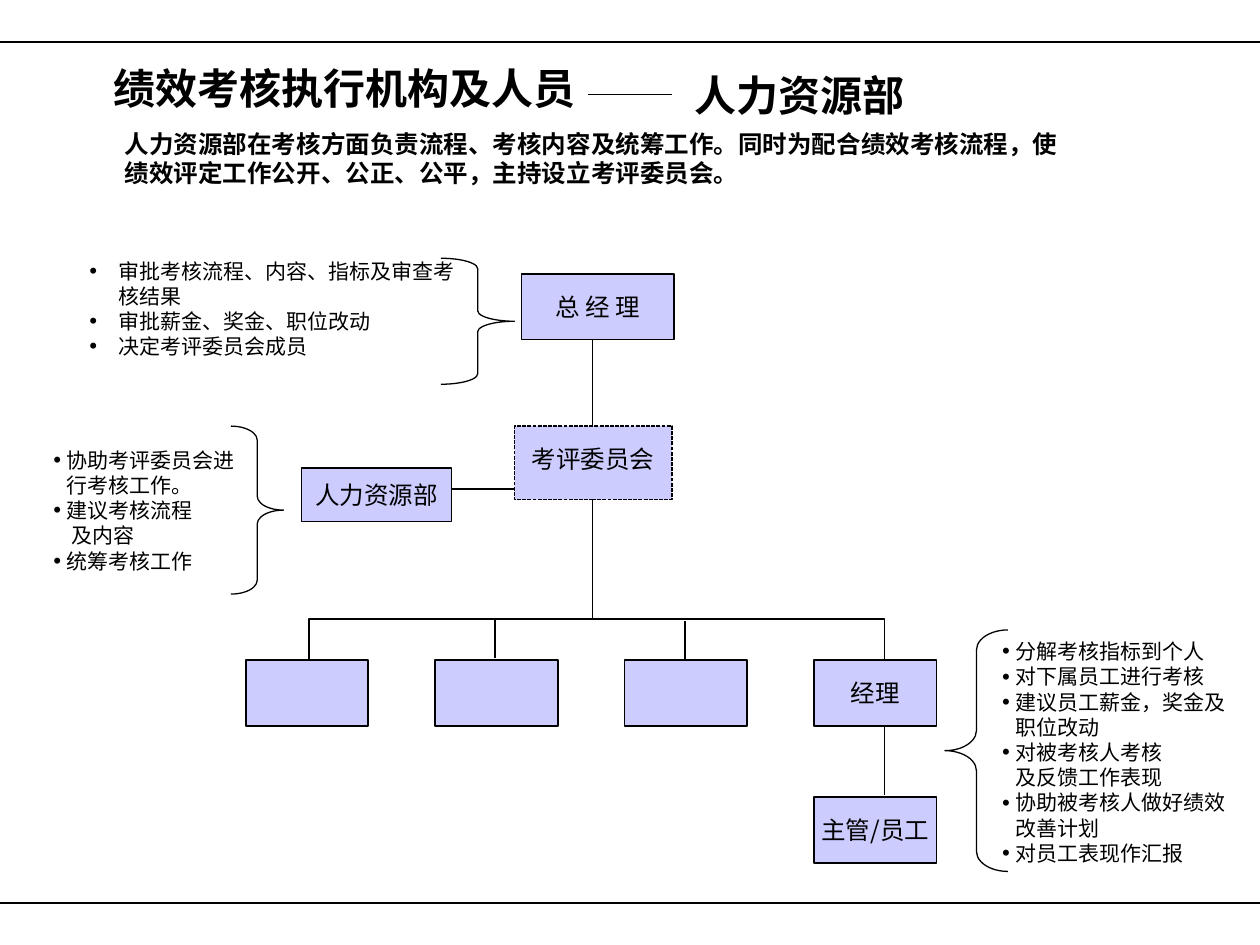
from lxml.etree import SubElement
from pptx import Presentation
from pptx.dml.color import RGBColor
from pptx.enum.dml import MSO_LINE
from pptx.enum.shapes import MSO_CONNECTOR, MSO_SHAPE
from pptx.enum.text import MSO_ANCHOR, PP_ALIGN
from pptx.oxml.ns import qn
from pptx.util import Pt

BLACK = RGBColor(0x00, 0x00, 0x00)
LAVENDER = RGBColor(0xCC, 0xCC, 0xFF)
SANS = "Noto Sans CJK SC"
SERIF = "Times New Roman"


class OrgChartSlide:
    def __init__(self, presentation):
        self.slide = presentation.slides.add_slide(presentation.slide_layouts[6])
        self.shapes = self.slide.shapes

    def style_paragraph(self, paragraph, size, bold=False, font=SANS):
        paragraph.font.size = Pt(size)
        paragraph.font.bold = bold
        paragraph.font.color.rgb = BLACK
        paragraph.font.name = font
        properties = paragraph._p.get_or_add_pPr().find(qn("a:defRPr"))
        SubElement(properties, qn("a:ea")).set("typeface", SANS)

    def style_line(self, shape, width):
        shape.line.color.rgb = BLACK
        shape.line.width = Pt(width)

    def set_margins(self, frame, horizontal, vertical):
        frame.margin_left = frame.margin_right = Pt(horizontal)
        frame.margin_top = frame.margin_bottom = Pt(vertical)

    def add_frame(self, left, top, width, height, horizontal=0, vertical=0):
        frame = self.shapes.add_textbox(Pt(left), Pt(top), Pt(width), Pt(height)).text_frame
        frame.word_wrap = True
        self.set_margins(frame, horizontal, vertical)
        return frame

    def add_text(self, text, left, top, width, height, size, bold=True, font=SANS,
                 align=PP_ALIGN.LEFT, margins=(0, 0)):
        paragraph = self.add_frame(left, top, width, height, *margins).paragraphs[0]
        paragraph.text = text
        paragraph.alignment = align
        self.style_paragraph(paragraph, size, bold, font)

    def add_duties(self, duties, left, top, width, height, margin=8, hanging=8):
        frame = self.add_frame(left, top, width, height)
        for index, (text, continuation_indent) in enumerate(duties):
            paragraph = frame.paragraphs[0] if index == 0 else frame.add_paragraph()
            paragraph.text = text
            properties = paragraph._p.get_or_add_pPr()
            properties.set("marL", str(Pt(margin)))
            if continuation_indent is None:
                properties.set("indent", str(-Pt(hanging)))
                SubElement(properties, qn("a:buSzPct")).set("val", "120000")
                SubElement(properties, qn("a:buFont")).set("typeface", SERIF)
                SubElement(properties, qn("a:buChar")).set("char", "•")
            else:
                properties.set("indent", str(Pt(continuation_indent)))
                SubElement(properties, qn("a:buNone"))
            self.style_paragraph(paragraph, 12)

    def add_box(self, text, left, top, width, height, line_width=1):
        box = self.shapes.add_shape(MSO_SHAPE.RECTANGLE, Pt(left), Pt(top), Pt(width), Pt(height))
        box.shadow.inherit = False
        box.fill.solid()
        box.fill.fore_color.rgb = LAVENDER
        self.style_line(box, line_width)
        if text:
            frame = box.text_frame
            frame.word_wrap = True
            frame.vertical_anchor = MSO_ANCHOR.MIDDLE
            self.set_margins(frame, 3, 2)
            paragraph = frame.paragraphs[0]
            paragraph.text = text
            paragraph.alignment = PP_ALIGN.CENTER
            self.style_paragraph(paragraph, 14)
        return box

    def add_line(self, start_x, start_y, end_x, end_y, width=1):
        line = self.shapes.add_connector(
            MSO_CONNECTOR.STRAIGHT, Pt(start_x), Pt(start_y), Pt(end_x), Pt(end_y))
        self.style_line(line, width)
        SubElement(line._element.spPr, qn("a:effectLst"))

    def add_polyline(self, points):
        (start_x, start_y), *rest = [(Pt(x), Pt(y)) for x, y in points]
        builder = self.shapes.build_freeform(start_x, start_y)
        builder.add_line_segments(rest, close=False)
        shape = builder.convert_to_shape()
        shape.shadow.inherit = False
        shape.fill.background()
        self.style_line(shape, 1)

    def add_brace(self, kind, left, top, width, height):
        brace = self.shapes.add_shape(kind, Pt(left), Pt(top), Pt(width), Pt(height))
        brace.shadow.inherit = False
        brace.fill.background()
        brace.adjustments[0] = height / 12 / min(width, height)
        self.style_line(brace, 0.75)


def main():
    presentation = Presentation()
    presentation.slide_width = Pt(720)
    presentation.slide_height = Pt(540)
    chart = OrgChartSlide(presentation)

    chart.add_line(0, 24, 720, 24, 0.75)
    chart.add_line(0, 516, 720, 516)
    chart.add_text("绩效考核执行机构及人员", 65, 36, 268, 47, 24)
    chart.add_line(336, 54, 384, 54, 0.75)
    chart.add_text("人力资源部", 390, 36, 162, 36, 24, font=SERIF, margins=(7.2, 3.6))
    chart.add_text(
        "人力资源部在考核方面负责流程、考核内容及统筹工作。同时为配合绩效考核流程，"
        "使绩效评定工作公开、公正、公平，主持设立考评委员会。", 71.3, 73.5, 535, 34, 14)

    chart.add_line(338.6, 354, 338.6, 191.5)
    chart.add_line(505.5, 412.5, 505.5, 454.5)
    chart.add_line(283, 354, 283, 376)
    chart.add_line(391.5, 355, 391.5, 376.5)
    chart.add_polyline([(176.5, 379.5), (176.5, 353.5), (505.5, 353.5), (505.5, 379.5)])
    chart.add_line(258, 279.5, 294, 279.5, 0.75)

    chart.add_box("总 经 理", 298, 156.5, 87, 37.5)
    committee = chart.add_box("", 294, 243.5, 90, 42, 0.75)
    committee.line.dash_style = MSO_LINE.SQUARE_DOT
    chart.add_text("考评委员会", 294, 250, 90, 24, 14, False, SERIF,
                   PP_ALIGN.CENTER, (7.2, 3.6))
    chart.add_box("人力资源部", 172.3, 267.5, 85.7, 30.5)
    for column, name in enumerate(["", "", "", "经理"]):
        chart.add_box(name, 140.5 + 108.2 * column, 377.3, 70, 37.5)
    chart.add_box("主管/员工", 465.1, 455.5, 70, 37.5)

    chart.add_duties([
        ("审批考核流程、内容、指标及审查考核结果", None),
        ("审批薪金、奖金、职位改动", None),
        ("决定考评委员会成员", None),
    ], 41.8, 147.6, 224, 77, margin=26, hanging=17)
    chart.add_duties([
        ("协助考评委员会进行考核工作。", None),
        ("建议考核流程", None),
        ("及内容", 2.5),
        ("统筹考核工作", None),
    ], 30.2, 255.6, 106, 74)
    chart.add_duties([
        ("分解考核指标到个人", None),
        ("对下属员工进行考核", None),
        ("建议员工薪金，奖金及职位改动", None),
        ("对被考核人考核", None),
        ("及反馈工作表现", 0),
        ("协助被考核人做好绩效改善计划", None),
        ("对员工表现作汇报", None),
    ], 572.4, 365, 129.6, 132)

    chart.add_brace(MSO_SHAPE.RIGHT_BRACE, 252, 147.6, 42, 72)
    chart.add_brace(MSO_SHAPE.RIGHT_BRACE, 132, 243.5, 30, 96)
    chart.add_brace(MSO_SHAPE.LEFT_BRACE, 540, 360, 36, 138)

    presentation.save("out.pptx")


if __name__ == "__main__":
    main()
